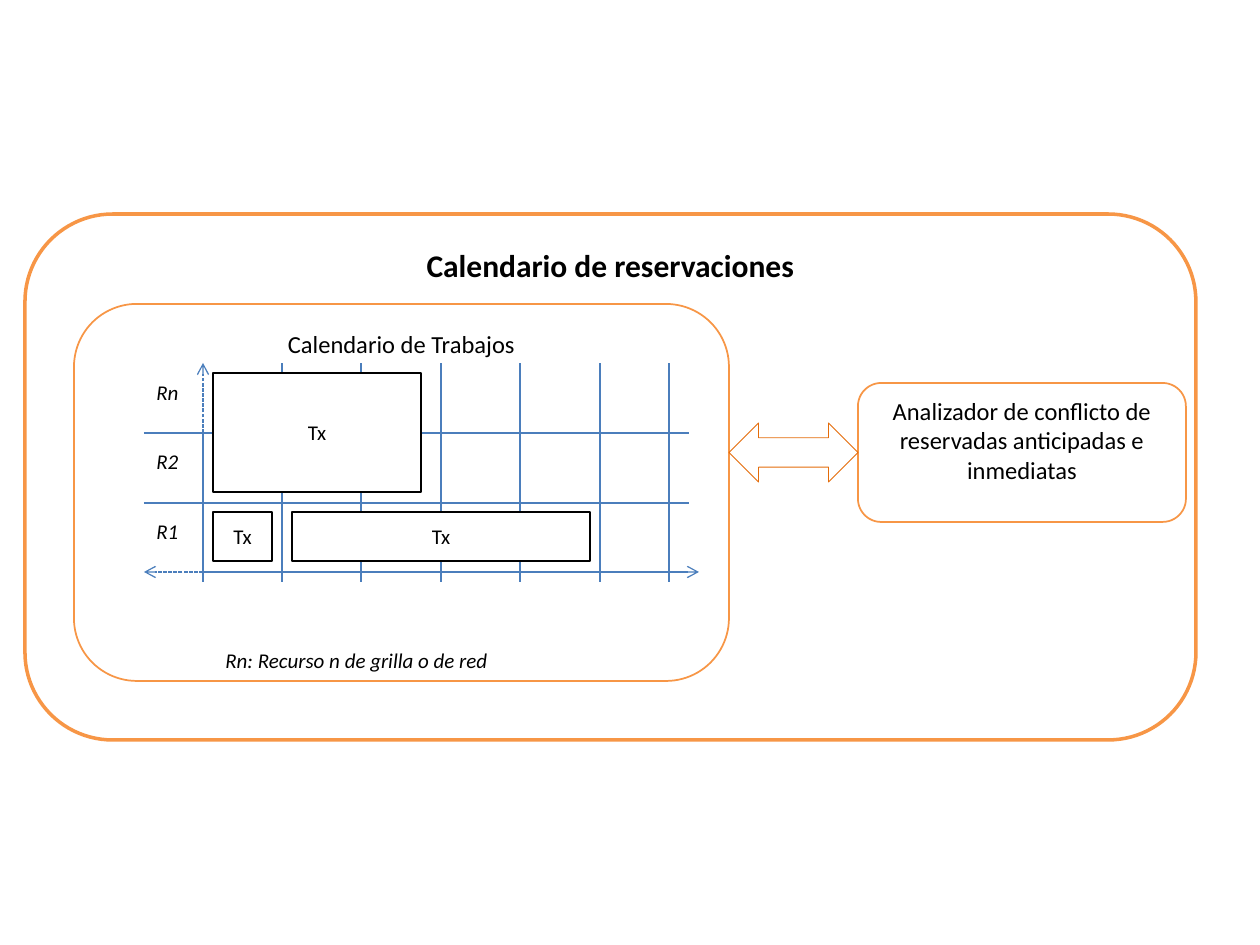
from dataclasses import dataclass
from typing import Any

from lxml import etree
from pptx import Presentation
from pptx import util as u
from pptx.dml import color
from pptx.enum import dml, shapes, text
from pptx.oxml import ns

WHITE = color.RGBColor(0xFF, 0xFF, 0xFF)
BLACK = color.RGBColor(0x00, 0x00, 0x00)
ORANGE = color.RGBColor(0xF7, 0x96, 0x46)
DARK_ORANGE = color.RGBColor(0xE4, 0x6C, 0x0A)
BLUE = color.RGBColor(0x4B, 0x7E, 0xBC)

AXIS_X, AXIS_Y = 203, 572
GRID_LEFT, GRID_RIGHT = 144, 689
GRID_TOP, GRID_BOTTOM = 363, 582
ROW_LINES = (433, 503)
COLUMN_LINES = [AXIS_X + 397 * i // 5 for i in range(1, 6)] + [669]


def px(length):
    return u.Emu(round(length * u.Inches(1) / 126))


@dataclass
class Diagram:
    """Draws the elements of the diagram on one slide in a shared style."""

    slide: Any
    font: str = "Calibri"

    def add_span(self, frame, words, size, bold=False, italic=False):
        para = frame.paragraphs[0]
        span = para.add_run()
        span.text = words
        span.font.name = self.font
        span.font.size = u.Pt(size)
        span.font.bold = bold
        span.font.italic = italic
        span.font.color.rgb = BLACK
        return para

    def shape(self, kind, place, line, width, fill=None):
        shape = self.slide.shapes.add_shape(kind, *map(px, place))
        shape.shadow.inherit = False
        if fill is None:
            shape.fill.background()
        else:
            shape.fill.solid()
            shape.fill.fore_color.rgb = fill
        shape.line.color.rgb = line
        shape.line.width = u.Pt(width)
        return shape

    def filled(self, kind, place, line, width, words, size, anchor, bold=False):
        frame = self.shape(kind, place, line, width, WHITE).text_frame
        frame.word_wrap = True
        frame.vertical_anchor = anchor
        self.add_span(frame, words, size, bold).alignment = text.PP_ALIGN.CENTER

    def panel(self, place, width, words, size, bold=False):
        self.filled(shapes.MSO_SHAPE.ROUNDED_RECTANGLE, place, ORANGE, width,
                    words, size, text.MSO_ANCHOR.TOP, bold)

    def task(self, *place):
        self.filled(shapes.MSO_SHAPE.RECTANGLE, place, BLACK, 0.75,
                    "Tx", 12, text.MSO_ANCHOR.MIDDLE)

    def label(self, place, words):
        frame = self.slide.shapes.add_textbox(*map(px, place)).text_frame
        frame.word_wrap = False
        frame.auto_size = text.MSO_AUTO_SIZE.SHAPE_TO_FIT_TEXT
        self.add_span(frame, words, 12, italic=True)

    def line(self, *ends, dashed=False, arrow=False):
        connector = self.slide.shapes.add_connector(
            shapes.MSO_CONNECTOR.STRAIGHT, *map(px, ends))
        connector.line.color.rgb = BLUE
        connector.line.width = u.Pt(0.75)
        if dashed:
            connector.line.dash_style = dml.MSO_LINE.SQUARE_DOT
        properties = connector.element.spPr
        if arrow:
            outline = properties.find(ns.qn("a:ln"))
            etree.SubElement(outline, ns.qn("a:tailEnd"), type="arrow")
        etree.SubElement(properties, ns.qn("a:effectLst"))

    def double_arrow(self, *place):
        arrow = self.shape(shapes.MSO_SHAPE.UP_DOWN_ARROW, place, DARK_ORANGE, 0.5)
        arrow.rotation = 90


def main():
    deck = Presentation()
    deck.slide_width, deck.slide_height = px(1260), px(945)
    page = Diagram(deck.slides.add_slide(deck.slide_layouts[6]))

    page.panel((25, 214, 1171, 526), 2, "Calendario de reservaciones", 18, bold=True)
    page.panel((74, 304, 655, 377), 1, "Calendario de Trabajos", 14)

    page.line(AXIS_X, AXIS_Y, 699, AXIS_Y, arrow=True)
    page.line(AXIS_X, GRID_BOTTOM, AXIS_X, ROW_LINES[0])
    for x in COLUMN_LINES:
        page.line(x, GRID_BOTTOM, x, GRID_TOP)
    page.line(AXIS_X, AXIS_Y, GRID_LEFT, AXIS_Y, dashed=True, arrow=True)
    page.line(AXIS_X, ROW_LINES[0], AXIS_X, GRID_TOP, dashed=True, arrow=True)
    for y in ROW_LINES:
        page.line(GRID_LEFT, y, GRID_RIGHT, y)

    page.task(213, 512, 59, 49)
    page.task(292, 512, 298, 49)
    page.task(213, 373, 208, 119)

    for row, resource in enumerate(("Rn", "R2", "R1")):
        page.label((GRID_LEFT, 373 + 139 * row // 2, 48, 38), resource)
    page.label((213, 641, 290, 38), "Rn: Recurso n de grilla o de red")

    page.panel((858, 383, 328, 139), 1,
               "Analizador de conflicto de reservadas anticipadas e inmediatas", 14)
    page.double_arrow(764, 388, 59, 129)

    deck.save("out.pptx")


if __name__ == "__main__":
    main()
